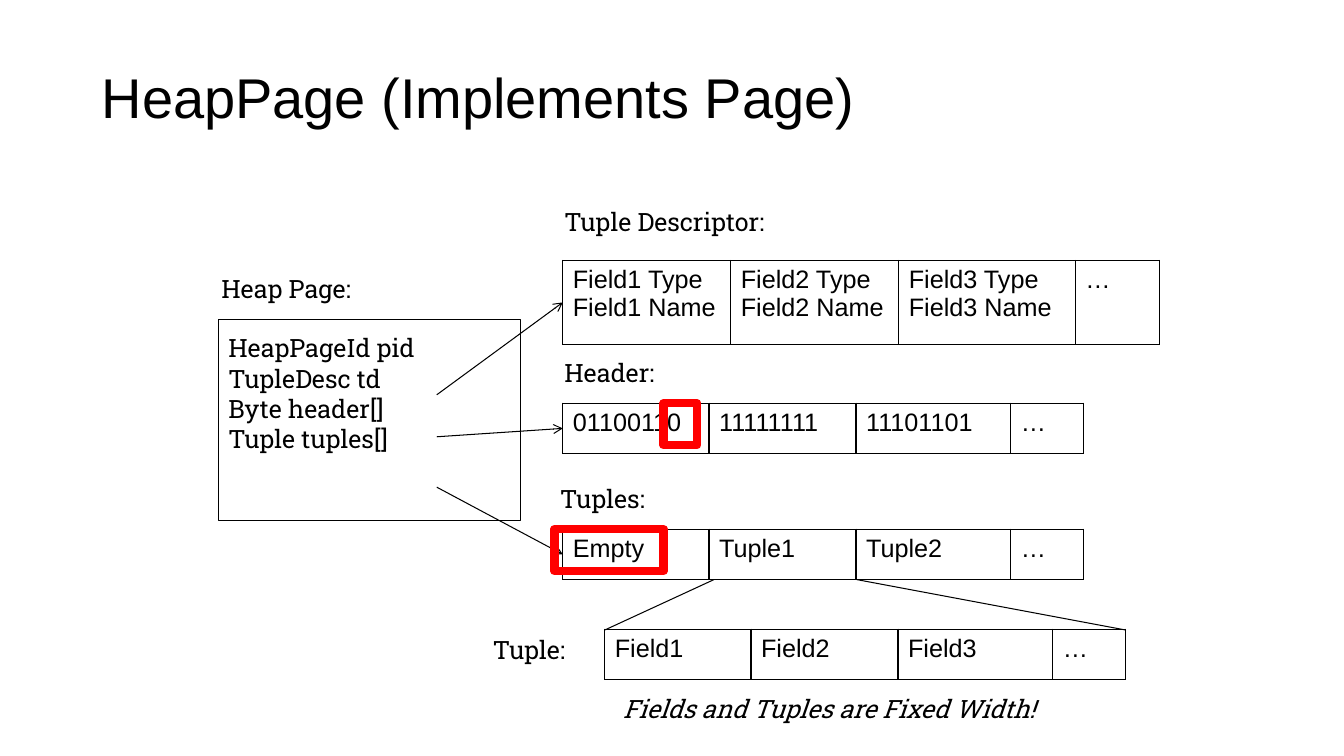
from lxml import etree
from pptx import Presentation
from pptx.dml.color import RGBColor
from pptx.enum.shapes import MSO_CONNECTOR, MSO_SHAPE
from pptx.oxml.ns import qn
from pptx.util import Pt

LINE, RECT = MSO_CONNECTOR.STRAIGHT, MSO_SHAPE.RECTANGLE
BLACK, RED = RGBColor(0, 0, 0), RGBColor(255, 0, 0)
SANS, SLAB = "Arial", "Roboto Slab"

# Content: left, top, width, height in points
TITLE = ("HeapPage (Implements Page)", 65.5, 41, 552, 55.5)
LABELS = [
    ("Heap Page:", 151, 192, 110),
    ("HeapPageId pid\nTupleDesc td\nByte header[]\nTuple tuples[]", 156, 234, 210),
    ("Tuple Descriptor:", 396, 144, 162),
    ("Header:", 396, 252, 82),
    ("Tuples:", 393, 341.5, 76),
    ("Tuple:", 345, 449.5, 68),
]
NOTE = ("Fields and Tuples are Fixed Width!", 438, 492, 480)
WIDE, SLIM = (120, 120, 126, 60), (104.5, 105, 110.5, 52)
FIELDS = [f"Field{n} Type\nField{n} Name" for n in (1, 2, 3)]
TABLES = [
    (FIELDS, 402, 186, WIDE, 60),
    (["01100110", "11111111", "11101101"], 402, 288, SLIM, 36),
    (["Empty", "Tuple1", "Tuple2"], 402, 378, SLIM, 36),
    (["Field1", "Field2", "Field3"], 432, 449.5, SLIM, 36),
]
ARROWS = [(312, 282, 402, 216), (312, 312, 402, 306), (312, 348, 402, 396)]
ZOOM = [(432, 450, 510, 414), (612, 414, 804, 450)]
PAGE = (156, 228, 216, 144)
MARKS = [(474, 288, 24, 30), (396, 378, 78, 30)]

deck = Presentation()
deck.slide_width, deck.slide_height = Pt(960), Pt(540)
slide = deck.slides.add_slide(deck.slide_layouts[6])
shapes = slide.shapes


def write(frame, text, face, size=18, slant=False):
    frame.text = text
    for para in frame.paragraphs:
        font = para.font
        font.name, font.size, font.italic = face, Pt(size), slant
        font.color.rgb = BLACK


def label(text, x, y, w, h=29, face=SLAB, **style):
    frame = shapes.add_textbox(Pt(x), Pt(y), Pt(w), Pt(h)).text_frame
    frame.word_wrap = True
    write(frame, text, face, **style)


def box(area, color, weight):
    shape = shapes.add_shape(RECT, *map(Pt, area))
    shape.shadow.inherit = False
    shape.fill.background()
    shape.line.color.rgb, shape.line.width = color, Pt(weight)


def line(ends, arrow=False):
    link = shapes.add_connector(LINE, *map(Pt, ends))
    link.line.color.rgb, link.line.width = BLACK, Pt(0.75)
    props = link._element.spPr
    if arrow:
        etree.SubElement(props.find(qn("a:ln")), qn("a:tailEnd"), type="arrow")
    etree.SubElement(props, qn("a:effectLst"))


def border(cell):
    props = cell._tc.get_or_add_tcPr()
    for spot, side in enumerate(("lnL", "lnR", "lnT", "lnB")):
        edge = etree.Element(qn("a:" + side), w=str(Pt(1)))
        fill = etree.SubElement(edge, qn("a:solidFill"))
        etree.SubElement(fill, qn("a:srgbClr"), val=str(BLACK))
        props.insert(spot, edge)


def grid(names, x, y, widths, h):
    frame = shapes.add_table(1, len(widths), Pt(x), Pt(y), Pt(sum(widths)), Pt(h))
    table = frame.table
    table.first_row = table.horz_banding = False
    table.rows[0].height = Pt(h)
    for col, cell, w, text in zip(table.columns, table.rows[0].cells, widths, names + ["…"]):
        col.width = Pt(w)
        cell.fill.background()
        border(cell)
        write(cell.text_frame, text, SANS)


# Heap page and labels
label(*TITLE, face=SANS, size=40)
box(PAGE, BLACK, 0.75)
for item in LABELS:
    label(*item)
label(*NOTE, slant=True)

# Tables, arrows and the zoom into one tuple
for item in TABLES:
    grid(*item)
for ends in ARROWS:
    line(ends, arrow=True)
for ends in ZOOM:
    line(ends)

# Red marks on the empty slot and its header bit
for area in MARKS:
    box(area, RED, 6)

deck.save("out.pptx")
